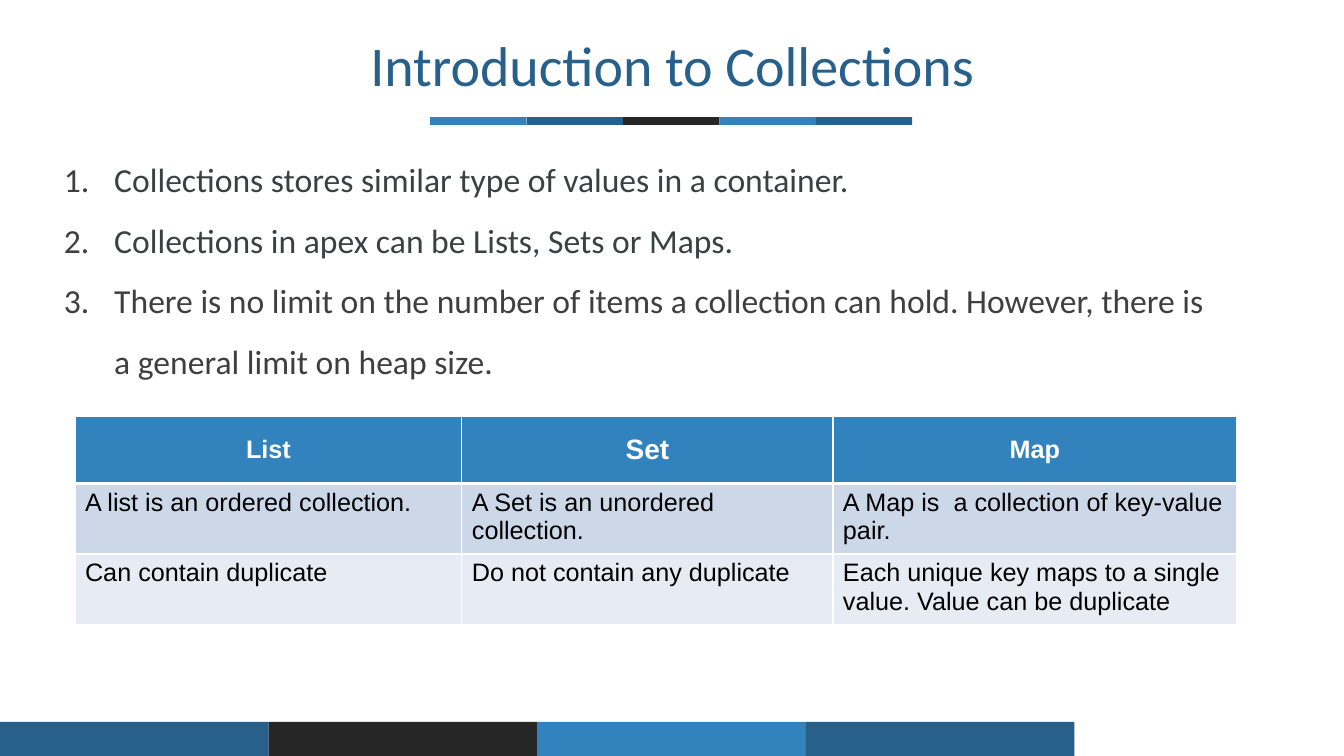
"""Build the Introduction to Collections slide."""
from lxml import etree
from pptx import Presentation
from pptx import util as u
from pptx.dml.color import RGBColor
from pptx.enum import shapes, text
from pptx.oxml.ns import qn

COLORS = {"blue": "3282BE", "navy": "28608C", "black": "262626", "white": "FFFFFF",
          "slate": "3C4043", "gray": "3F3F3F", "ink": "000000",
          "band1": "CCD8E8", "band2": "E7ECF4"}
TITLE = "Introduction to Collections"
POINTS = [
    ("Collections stores similar type of values in a container.", "slate"),
    ("Collections in apex can be Lists, Sets or Maps.", "slate"),
    ("There is no limit on the number of items a collection can hold. "
     "However, there is a\u00a0general limit on heap size.", "gray"),
]
HEADER = [("List", 18), ("Set", 20), ("Map", 18)]
ROWS = [
    ["A list is an ordered collection.", "A Set is an unordered collection.",
     "A Map is\u00a0 a collection of key-value pair."],
    ["Can contain duplicate", "Do not contain any duplicate",
     "Each unique key maps to a single value. Value can be duplicate"],
]
COL_WIDTHS = [9.75, 9.35, 10.18]
ROW_HEIGHT = 1.68
STRIPS = [
    (10.84, 2.95, 2.43, 0.2, ["blue", "navy", "black", "blue", "navy"]),
    (0, 18.19, 6.77, 0.86, ["navy", "black", "blue", "navy"]),
]


def rgb(name):
    return RGBColor.from_string(COLORS[name])


def write(p, words, size=18, font="Arial", color="ink", bold=False,
          align=text.PP_ALIGN.LEFT, spacing=1.0):
    p.alignment = align
    p.line_spacing = spacing
    r = p.add_run()
    r.text = words
    r.font.size = u.Pt(size)
    r.font.name = font
    r.font.bold = bold
    r.font.color.rgb = rgb(color)


def number(p, indent, hanging):
    pPr = p._p.get_or_add_pPr()
    pPr.set("marL", str(u.Cm(indent)))
    pPr.set("indent", str(-u.Cm(hanging)))
    clr = etree.SubElement(pPr, qn("a:buClr"))
    etree.SubElement(clr, qn("a:srgbClr"), val=COLORS["gray"])
    etree.SubElement(pPr, qn("a:buFont"), typeface="Calibri")
    etree.SubElement(pPr, qn("a:buAutoNum"), type="arabicPeriod")


def border(cell, **widths):
    tcPr = cell._tc.get_or_add_tcPr()
    for i, side in enumerate("LRTB"):
        ln = etree.Element(qn("a:ln" + side), w=str(u.Pt(widths.get(side, 1))))
        fill = etree.SubElement(ln, qn("a:solidFill"))
        etree.SubElement(fill, qn("a:srgbClr"), val=COLORS["white"])
        tcPr.insert(i, ln)


def text_frame(s, *box):
    tf = s.shapes.add_textbox(*map(u.Cm, box)).text_frame
    tf.word_wrap = True
    return tf


prs = Presentation()
prs.slide_width, prs.slide_height = u.Cm(33.87), u.Cm(19.05)
s = prs.slides.add_slide(prs.slide_layouts[6])

for left, top, width, height, names in STRIPS:
    for i, name in enumerate(names):
        sp = s.shapes.add_shape(shapes.MSO_SHAPE.RECTANGLE, u.Cm(left + i * width),
                                u.Cm(top), u.Cm(width), u.Cm(height))
        sp.shadow.inherit = False
        sp.fill.solid()
        sp.fill.fore_color.rgb = rgb(name)
        sp.line.fill.background()

tf = text_frame(s, 1.04, 0.86, 31.8, 1.75)
tf.vertical_anchor = text.MSO_ANCHOR.MIDDLE
write(tf.paragraphs[0], TITLE, size=40, font="Calibri", color="navy",
      align=text.PP_ALIGN.CENTER, spacing=0.9)

tf = text_frame(s, 1.04, 3.38, 32, 14.22)
for i, (words, color) in enumerate(POINTS):
    p = tf.add_paragraph() if i else tf.paragraphs[0]
    write(p, words, size=24, font="Calibri", color=color, spacing=1.5)
    number(p, 1.59, 1.27)

table = s.shapes.add_table(len(ROWS) + 1, len(HEADER), u.Cm(1.89), u.Cm(10.5),
                           u.Cm(sum(COL_WIDTHS)), u.Cm(ROW_HEIGHT * 3)).table
for col, width in zip(table.columns, COL_WIDTHS):
    col.width = u.Cm(width)
for row in table.rows:
    row.height = u.Cm(ROW_HEIGHT)

fills = ["blue", "band1", "band2"]
edges = [{"B": 3}, {"T": 3}, {}]
for y, row in enumerate([HEADER] + ROWS):
    for x, entry in enumerate(row):
        cell = table.cell(y, x)
        cell.fill.solid()
        cell.fill.fore_color.rgb = rgb(fills[y])
        border(cell, **edges[y])
        p = cell.text_frame.paragraphs[0]
        if y == 0:
            cell.vertical_anchor = text.MSO_ANCHOR.MIDDLE
            words, size = entry
            write(p, words, size=size, color="white", bold=True,
                  align=text.PP_ALIGN.CENTER)
        else:
            write(p, entry)

prs.save("out.pptx")
